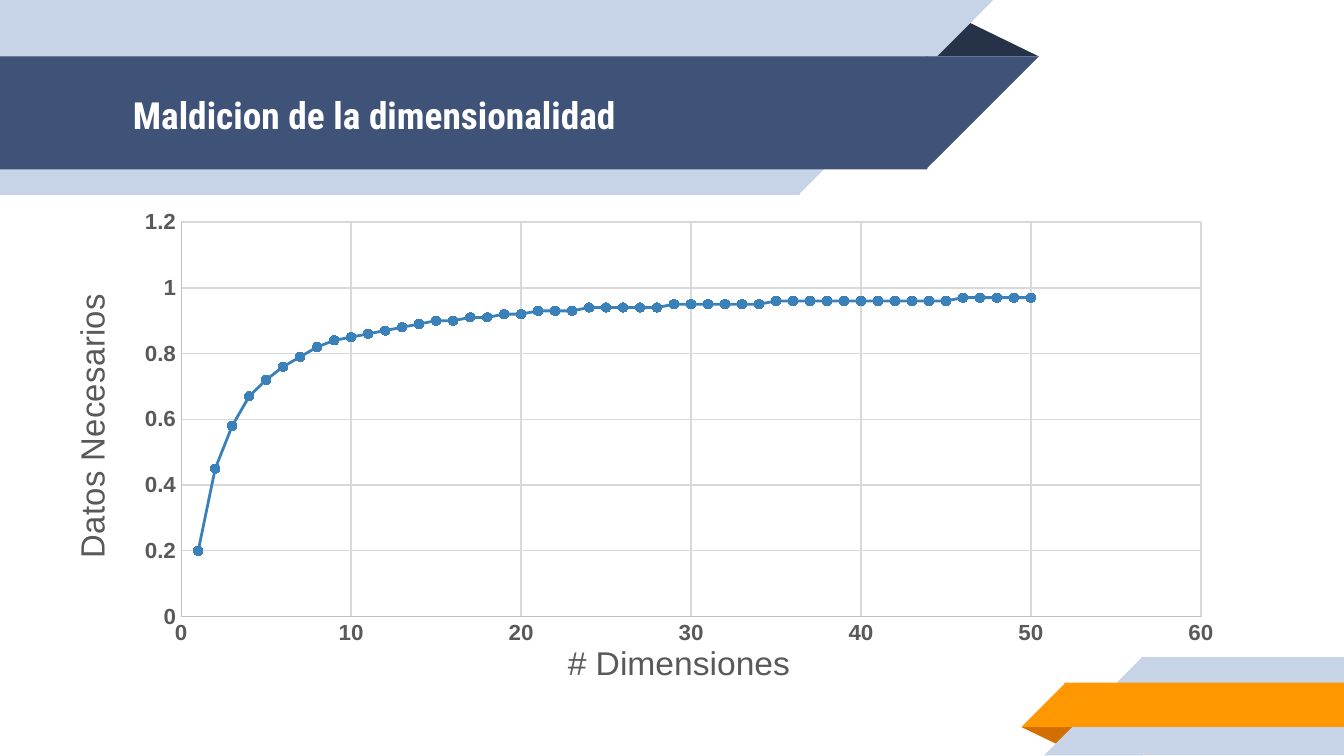
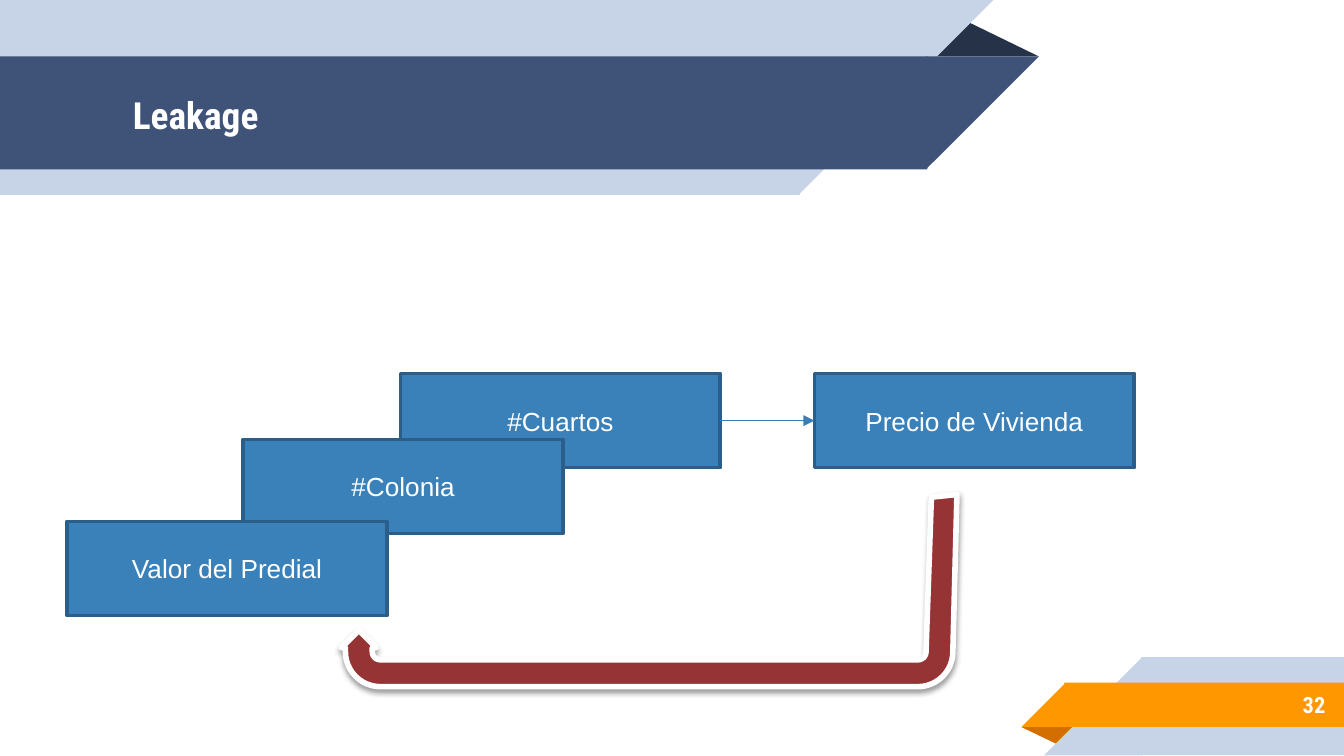
from math import cos, radians, sin

from lxml.etree import SubElement
from pptx import Presentation
from pptx.chart.data import XyChartData
from pptx.dml.color import RGBColor
from pptx.enum.chart import XL_CHART_TYPE as ChartType, XL_MARKER_STYLE as Marker, XL_TICK_MARK as Tick
from pptx.enum.shapes import MSO_CONNECTOR as Connector, MSO_SHAPE as Shape
from pptx.enum.text import MSO_ANCHOR as Anchor, PP_ALIGN as Align
from pptx.oxml import parse_xml
from pptx.oxml.ns import nsdecls, qn
from pptx.util import Inches, Pt

NAVY, DARK_NAVY, PALE = "3F5378", "263248", "C7D3E6"
ORANGE, DARK_ORANGE = "FF9800", "D26F00"
BLUE, BLUE_EDGE, ARROW_BLUE, RED = "3A81BA", "2B5F8A", "367EB9", "963334"
GREY, AXIS_GREY, GRID_GREY, WHITE = "595959", "BFBFBF", "D9D9D9", "FFFFFF"
TITLE_FONT, BODY_FONT = "Roboto Condensed", "Arial"

HEADER_BOX = (0, 0, 7.73, 1.45)
FOOTER_BOX = (7.6, 4.89, 2.4, 0.73)
CHART_BOX = (0.12, 1.18, 9.31, 3.97)
FEATURES_BOX = (0.5, 2.78, 7.94, 1.8)
RETURN_ARROW_BOX = (2.54, 3.68, 4.58, 1.43)
SEAM = 0.01


def color(hex_string):
    return RGBColor.from_string(hex_string)


def set_line(line, hex_string, width):
    line.color.rgb = color(hex_string)
    line.width = Pt(width)


def set_font(font, name, size, hex_string, bold=False):
    font.name, font.size, font.bold = name, Pt(size), bold
    font.color.rgb = color(hex_string)


def add_block(slide, kind, box, fill, rotation=0):
    """Add a filled preset shape without line or shadow."""
    shape = slide.shapes.add_shape(kind, *map(Inches, box))
    shape.shadow.inherit = False
    shape.fill.solid()
    shape.fill.fore_color.rgb = color(fill)
    shape.line.fill.background()
    shape.rotation = rotation
    return shape


def add_fold(slide, box, fill, rotation=0):
    fold = add_block(slide, Shape.ISOSCELES_TRIANGLE, box, fill, rotation)
    fold.adjustments[0] = 0.324


def add_band(slide, box, fill, slant_right):
    """Add a rectangle whose right or left end is a 45-degree slant."""
    left, top, width, height = box
    bar = width - height
    bar_left, slant_left = (left, left + bar) if slant_right else (left + height - SEAM, left)
    add_block(slide, Shape.RECTANGLE, (bar_left, top, bar + SEAM, height), fill)
    slant = add_block(slide, Shape.RIGHT_TRIANGLE, (slant_left, top, height, height), fill,
                      180 if slant_right else 0)
    slant._element.spPr.find(qn("a:xfrm")).set("flipH", "1")


def add_label(slide, box, text, size, align=Align.LEFT):
    label = slide.shapes.add_textbox(*map(Inches, box))
    frame = label.text_frame
    frame.word_wrap = True
    frame.vertical_anchor = Anchor.MIDDLE
    frame.margin_left = frame.margin_right = Inches(0.1)
    frame.margin_top = frame.margin_bottom = Inches(0.1)
    paragraph = frame.paragraphs[0]
    paragraph.text = text
    paragraph.alignment = align
    set_font(paragraph.font, TITLE_FONT, size, WHITE, True)


def add_header(slide, box, title):
    left, top, width, height = box
    add_fold(slide, (left + 6.88, top + 0.14, 0.85, 0.28), DARK_NAVY)
    add_band(slide, (left, top, 7.39, height), PALE, True)
    add_band(slide, (left, top + 0.42, width, 0.84), NAVY, True)
    add_label(slide, (left + 0.89, top + 0.43, 6.01, 0.84), title, 20)


def add_footer(slide, box, number=None):
    left, top, width, height = box
    add_fold(slide, (left, top + 0.52, 0.43, 0.14), DARK_ORANGE, 180)
    add_band(slide, (left + 0.17, top, width - 0.17, height), PALE, False)
    add_band(slide, (left, top + 0.19, width, 0.33), ORANGE, False)
    if number:
        add_label(slide, (left + 0.73, top + 0.18, 1.63, 0.35), number, 12, Align.RIGHT)


def set_layout(element, index, **values):
    """Give a plot area or chart title a manual layout."""
    for layout in element.findall(qn("c:layout")):
        element.remove(layout)
    layout = parse_xml(f"<c:layout {nsdecls('c')}><c:manualLayout/></c:layout>")
    for name, value in values.items():
        SubElement(layout[0], qn(f"c:{name}")).set("val", str(value))
    element.insert(index, layout)


def style_axis(axis, title, maximum, step, title_x, title_y):
    axis.minimum_scale, axis.maximum_scale, axis.major_unit = 0, maximum, step
    axis.major_tick_mark = axis.minor_tick_mark = Tick.NONE
    axis.has_major_gridlines = True
    set_line(axis.major_gridlines.format.line, GRID_GREY, 0.75)
    set_line(axis.format.line, AXIS_GREY, 0.75)
    set_font(axis.tick_labels.font, BODY_FONT, 12, GREY, True)
    paragraph = axis.axis_title.text_frame.paragraphs[0]
    paragraph.text = title
    set_font(paragraph.font, BODY_FONT, 18, GREY)
    set_layout(axis.axis_title._element, 1, xMode="edge", yMode="edge", x=title_x, y=title_y)


def add_dimension_chart(slide, box):
    data = XyChartData()
    points = data.add_series("Series 1")
    for dimensions in range(1, 51):
        points.add_data_point(dimensions, round(0.2 ** (1 / dimensions), 2))
    chart = slide.shapes.add_chart(ChartType.XY_SCATTER_LINES, *map(Inches, box), data).chart
    chart.has_title = chart.has_legend = False
    set_font(chart.font, BODY_FONT, 10, "000000")
    chart.plots[0].vary_by_categories = False

    series = chart.plots[0].series[0]
    series.smooth = False
    set_line(series.format.line, BLUE, 1.5)
    series.marker.style, series.marker.size = Marker.CIRCLE, 5
    series.marker.format.fill.solid()
    series.marker.format.fill.fore_color.rgb = color(BLUE)
    set_line(series.marker.format.line, BLUE, 0.75)

    style_axis(chart.category_axis, "# Dimensiones", 60, 10, 0.436, 0.915)
    style_axis(chart.value_axis, "Datos Necesarios", 1.2, 0.2, 0.038, 0.26)
    body = chart.value_axis.axis_title._element.find(".//" + qn("a:bodyPr"))
    body.set("rot", "-5400000")
    body.set("vert", "horz")
    plot_area = chart._chartSpace.find(".//" + qn("c:plotArea"))
    set_layout(plot_area, 0, layoutTarget="inner", xMode="edge", yMode="edge",
               x=0.132, y=0.122, w=0.815, h=0.757)


def add_variable(slide, box, text):
    shape = add_block(slide, Shape.RECTANGLE, box, BLUE)
    set_line(shape.line, BLUE_EDGE, 2)
    shape.text_frame.vertical_anchor = Anchor.MIDDLE
    paragraph = shape.text_frame.paragraphs[0]
    paragraph.text = text
    paragraph.alignment = Align.CENTER
    set_font(paragraph.font, BODY_FONT, 14, WHITE)
    return shape


def add_features(slide, box):
    """Add the stacked features and the arrow to the predicted price."""
    left, top = box[:2]
    variables = [("Precio de Vivienda", 5.56, 0), ("#Cuartos", 2.48, 0),
                 ("#Colonia", 1.31, 0.49), ("Valor del Predial", 0, 1.1)]
    price, rooms, *_ = [add_variable(slide, (left + x, top + y, 2.38, 0.7), text)
                        for text, x, y in variables]
    arrow = slide.shapes.add_connector(Connector.STRAIGHT, 0, 0, 0, 0)
    arrow.begin_connect(rooms, 3)
    arrow.end_connect(price, 1)
    set_line(arrow.line, ARROW_BLUE, 0.75)
    SubElement(arrow.line._get_or_add_ln(), qn("a:tailEnd")).set("type", "triangle")
    SubElement(arrow._element.spPr, qn("a:effectLst"))


def arc(center_x, center_y, radius, start, end, steps=12):
    angles = [radians(start + (end - start) * step / steps) for step in range(steps + 1)]
    return [(center_x + radius * cos(angle), center_y + radius * sin(angle)) for angle in angles]


def add_return_arrow(slide, box):
    """Add the thick arrow that leads from the price back to the property tax."""
    left, top, width, _ = box
    outer, inner, bend_y = 0.26, 0.06, 1.17
    left_bend, right_bend = 0.29, 4.29
    outline = [
        (width, 0),
        *arc(right_bend, bend_y, outer, 0, 90),
        *arc(left_bend, bend_y, outer, 90, 180),
        (0.03, 1.14), (0, 1.14), (0.13, 1.01), (0.26, 1.14), (0.23, 1.14),
        *arc(left_bend, bend_y, inner, 180, 90),
        *arc(right_bend, bend_y, inner, 90, 0),
        (4.39, 0.02),
    ]
    points = [(Inches(left + x), Inches(top + y)) for x, y in outline]
    builder = slide.shapes.build_freeform(*points[0])
    builder.add_line_segments(points[1:])
    shape = builder.convert_to_shape()
    shape.fill.solid()
    shape.fill.fore_color.rgb = color(RED)
    set_line(shape.line, WHITE, 3)
    shape._element.spPr.append(parse_xml(
        f'<a:effectLst {nsdecls("a")}><a:outerShdw blurRad="{Pt(3.1)}" dist="{Pt(1.6)}" '
        'dir="5400000" rotWithShape="0"><a:srgbClr val="000000"><a:alpha val="38000"/>'
        '</a:srgbClr></a:outerShdw></a:effectLst>'))


def add_slide(presentation, title, number=None):
    slide = presentation.slides.add_slide(presentation.slide_layouts[6])
    add_header(slide, HEADER_BOX, title)
    add_footer(slide, FOOTER_BOX, number)
    return slide


def main():
    presentation = Presentation()
    presentation.slide_width = Inches(10)
    presentation.slide_height = Inches(10) * 9 // 16
    add_dimension_chart(add_slide(presentation, "Maldicion de la dimensionalidad"), CHART_BOX)
    leakage = add_slide(presentation, "Leakage", "32")
    add_features(leakage, FEATURES_BOX)
    add_return_arrow(leakage, RETURN_ARROW_BOX)
    presentation.save("out.pptx")


if __name__ == "__main__":
    main()
